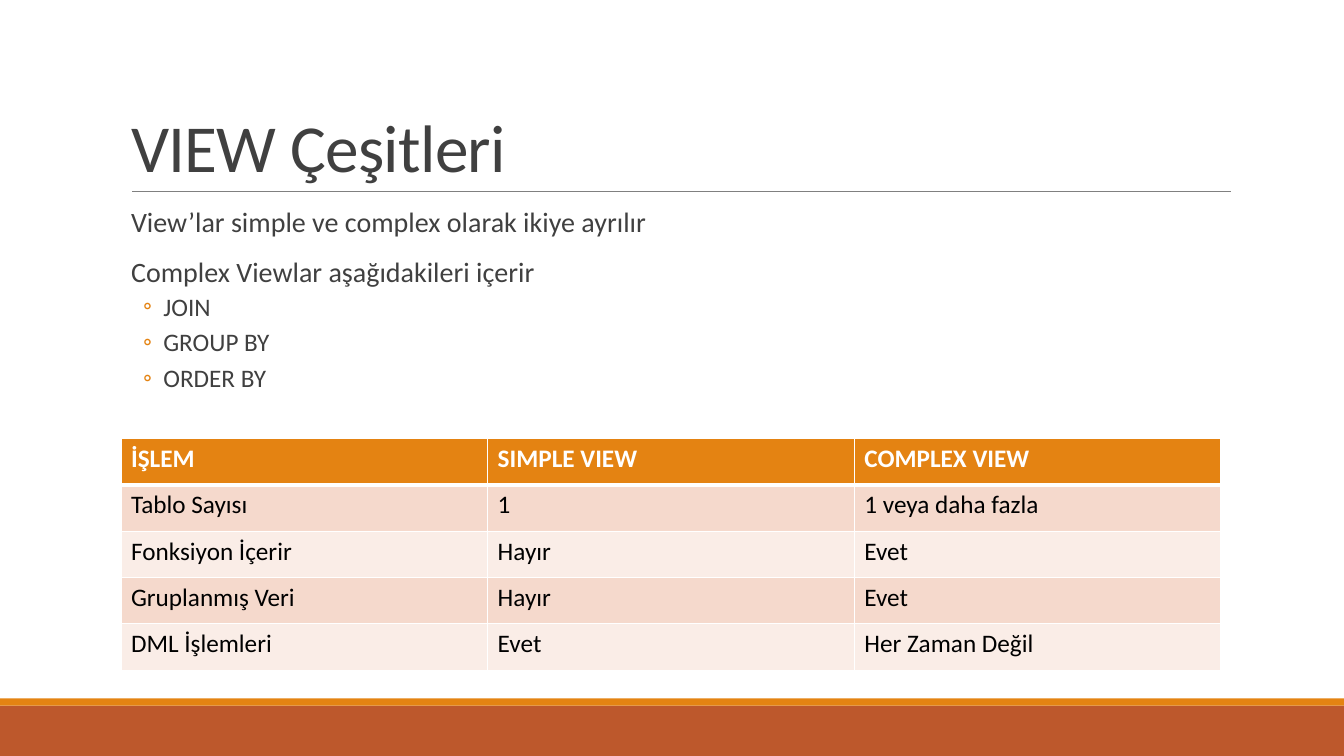
from lxml.etree import SubElement
from pptx import Presentation
from pptx.dml.color import RGBColor
from pptx.enum.shapes import MSO_CONNECTOR, MSO_SHAPE
from pptx.enum.text import MSO_ANCHOR, MSO_AUTO_SIZE, PP_ALIGN
from pptx.oxml.ns import qn
from pptx.util import Inches, Pt

TITLE = "VIEW Çeşitleri"
BODY = [
    (0, "View’lar simple ve complex olarak ikiye ayrılır"),
    (0, "Complex Viewlar aşağıdakileri içerir"),
    (1, "JOIN"),
    (1, "GROUP BY"),
    (1, "ORDER BY"),
]
LEVELS = [
    {"bullet": " ", "size": 20, "margin": 0.1, "indent": -0.1, "before": 12, "after": 2},
    {"bullet": "◦", "size": 18, "margin": 0.42, "indent": -0.2, "before": 2, "after": 4},
]
TABLE = [
    ("İŞLEM", "SIMPLE VIEW", "COMPLEX VIEW"),
    ("Tablo Sayısı", "1", "1 veya daha fazla"),
    ("Fonksiyon İçerir", "Hayır", "Evet"),
    ("Gruplanmış Veri", "Hayır", "Evet"),
    ("DML İşlemleri", "Evet", "Her Zaman Değil"),
]
BANDS = [("BD582C", 7, 0.5), ("E48312", 6.93, 0.07)]
ORANGE, GRAY, WHITE, BLACK = "E48312", "404040", "FFFFFF", "000000"
ROW_FILLS = ["FAEDE7", "F5D9CC"]
FONT = "Calibri"
SLIDE_WIDTH, SLIDE_HEIGHT = 13.33, 7.5
LEFT = 1.2
TABLE_WIDTH, ROW_HEIGHT = 10.91, 0.46


def color(value):
    return RGBColor.from_string(value)


def set_font(font, size, value, bold=False):
    font.name = FONT
    font.size = Pt(size)
    font.bold = bold
    font.color.rgb = color(value)


def place(shape, left, top, width, height):
    shape.left, shape.top = Inches(left), Inches(top)
    shape.width, shape.height = Inches(width), Inches(height)


def add_band(slide, fill, top, height):
    band = slide.shapes.add_shape(
        MSO_SHAPE.RECTANGLE, 0, Inches(top), Inches(SLIDE_WIDTH), Inches(height))
    band.shadow.inherit = False
    band.fill.solid()
    band.fill.fore_color.rgb = color(fill)
    band.line.fill.background()


def add_rule(slide):
    rule = slide.shapes.add_connector(
        MSO_CONNECTOR.STRAIGHT, Inches(1.31), Inches(1.9), Inches(12.21), Inches(1.9))
    rule.line.color.rgb = color("808080")
    rule.line.width = Pt(0.5)
    SubElement(rule._element.spPr, qn("a:effectLst"))


def format_title(title):
    place(title, LEFT, 0.31, 11, 1.59)
    frame = title.text_frame
    frame.text = TITLE
    frame.auto_size = MSO_AUTO_SIZE.NONE
    frame.vertical_anchor = MSO_ANCHOR.BOTTOM
    paragraph = frame.paragraphs[0]
    paragraph.alignment = PP_ALIGN.LEFT
    paragraph.line_spacing = 0.85
    set_font(paragraph.font, 48, GRAY)
    paragraph.runs[0]._r.get_or_add_rPr().set("spc", "-50")


def add_bullet(paragraph, character, margin, indent):
    properties = paragraph._p.get_or_add_pPr()
    properties.set("marL", str(Inches(margin)))
    properties.set("indent", str(Inches(indent)))
    bullet_color = SubElement(properties, qn("a:buClr"))
    SubElement(bullet_color, qn("a:srgbClr"), val=ORANGE)
    SubElement(properties, qn("a:buFont"), typeface=FONT)
    SubElement(properties, qn("a:buChar"), char=character)


def add_body(slide):
    box = slide.shapes.add_textbox(Inches(LEFT), Inches(2.02), Inches(10.78), Inches(2.08))
    frame = box.text_frame
    frame.word_wrap = True
    frame.margin_left = frame.margin_right = 0
    for index, (level, text) in enumerate(BODY):
        style = LEVELS[level]
        paragraph = frame.add_paragraph() if index else frame.paragraphs[0]
        paragraph.text = text
        paragraph.level = level
        add_bullet(paragraph, style["bullet"], style["margin"], style["indent"])
        paragraph.line_spacing = 0.9
        paragraph.space_before = Pt(style["before"] if index else 0)
        paragraph.space_after = Pt(style["after"])
        set_font(paragraph.font, style["size"], GRAY)


def add_borders(cell, top, bottom):
    properties = cell._tc.get_or_add_tcPr()
    for side, width in (("L", 1), ("R", 1), ("T", top), ("B", bottom)):
        line = SubElement(properties, qn(f"a:ln{side}"), w=str(Pt(width)))
        fill = SubElement(line, qn("a:solidFill"))
        SubElement(fill, qn("a:srgbClr"), val=WHITE)


def add_table(slide):
    table = slide.shapes.add_table(
        len(TABLE), len(TABLE[0]), Inches(LEFT), Inches(4.35),
        Inches(TABLE_WIDTH), Inches(ROW_HEIGHT * len(TABLE))).table
    for row, texts in enumerate(TABLE):
        header = row == 0
        for column, text in enumerate(texts):
            cell = table.cell(row, column)
            cell.text = text
            add_borders(cell, 3 if row == 1 else 1, 3 if header else 1)
            cell.fill.solid()
            cell.fill.fore_color.rgb = color(ORANGE if header else ROW_FILLS[row % 2])
            set_font(cell.text_frame.paragraphs[0].font, 18,
                     WHITE if header else BLACK, header)


def main():
    presentation = Presentation()
    presentation.slide_width = Inches(SLIDE_WIDTH)
    presentation.slide_height = Inches(SLIDE_HEIGHT)
    slide = presentation.slides.add_slide(presentation.slide_layouts[5])
    for fill, top, height in BANDS:
        add_band(slide, fill, top, height)
    add_rule(slide)
    format_title(slide.shapes.title)
    add_body(slide)
    add_table(slide)
    presentation.save("out.pptx")


if __name__ == "__main__":
    main()
